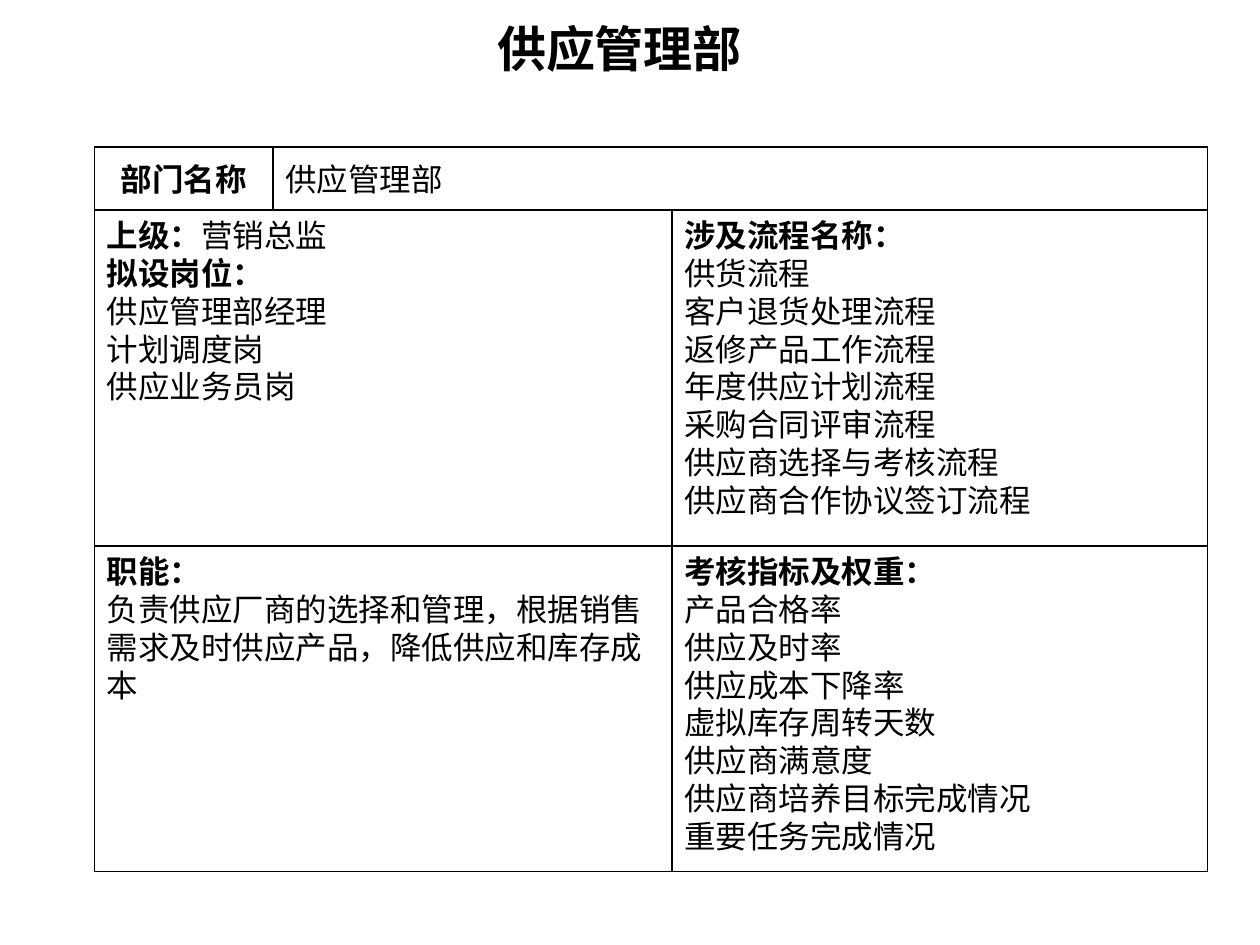
import pptx
import pptx.dml.color
import pptx.enum.shapes
import pptx.enum.text
import pptx.util

ALIGN = pptx.enum.text.PP_ALIGN
ANCHOR = pptx.enum.text.MSO_ANCHOR
COLORS = {"paper": "FFFFFF", "ink": "000000"}
SERIF, SANS = "Times New Roman", "Noto Sans CJK SC"

# The slide is a grid of 120 columns by 90 rows, each 1/12 inch.
COLUMNS, ROWS = 120, 90
UNIT = pptx.util.Inches(1) // 12

TITLE_BOX = (8, 1.2, 102, 6.8)
CARD_BOX = (9, 14, 106, 69)
NAME_HEIGHT, UPPER_HEIGHT = 6, 32
LABEL_WIDTH, LEFT_WIDTH = 17, 55

# Each paragraph is a list of runs: (text, bold, font).
SUPERIOR_AND_POSTS = [
    [("上级：", True, SERIF), ("营销总监", False, SERIF)],
    [("拟设岗位：", True, SERIF)],
    *[[(post, False, SERIF)] for post in ("供应管理部经理", "计划调度岗", "供应业务员岗")],
]


def headed_list(heading, items, font=SERIF):
    return [[(heading, True, SERIF)], *[[(item, False, font)] for item in items]]


PROCESSES = headed_list("涉及流程名称：", [
    "供货流程", "客户退货处理流程", "返修产品工作流程", "年度供应计划流程",
    "采购合同评审流程", "供应商选择与考核流程", "供应商合作协议签订流程",
])
DUTIES = headed_list("职能：", [
    "负责供应厂商的选择和管理，根据销售需求及时供应产品，降低供应和库存成本",
])
INDICATORS = headed_list("考核指标及权重：", [
    "产品合格率", "供应及时率", "供应成本下降率", "虚拟库存周转天数",
    "供应商满意度", "供应商培养目标完成情况", "重要任务完成情况",
], SANS)


def color(name):
    return pptx.dml.color.RGBColor.from_string(COLORS[name])


def to_lengths(box):
    return [pptx.util.Emu(round(value * UNIT)) for value in box]


def write_text(frame, paragraphs, size, align, anchor, spacing=None):
    frame.word_wrap = True
    frame.vertical_anchor = anchor
    for index, runs in enumerate(paragraphs):
        paragraph = frame.paragraphs[0] if index == 0 else frame.add_paragraph()
        paragraph.alignment = align
        paragraph.line_spacing = spacing
        for text, bold, font in runs:
            run = paragraph.add_run()
            run.text = text
            run.font.size = pptx.util.Pt(size)
            run.font.bold = bold
            run.font.name = font
            run.font.color.rgb = color("ink")
            east_asian = pptx.oxml.xmlchemy.OxmlElement("a:ea")
            east_asian.set("typeface", SANS)
            run.font._element.append(east_asian)


def add_title(slide, box):
    shape = slide.shapes.add_textbox(*to_lengths(box))
    write_text(shape.text_frame, [[("供应管理部", True, SANS)]], 28, ALIGN.CENTER, ANCHOR.MIDDLE)


def add_cell(slide, box, paragraphs=(), align=ALIGN.LEFT, anchor=ANCHOR.TOP):
    shape = slide.shapes.add_shape(
        pptx.enum.shapes.MSO_SHAPE.RECTANGLE, *to_lengths(box))
    shape.shadow.inherit = False
    shape.fill.solid()
    shape.fill.fore_color.rgb = color("paper")
    shape.line.color.rgb = color("ink")
    shape.line.width = pptx.util.Pt(0.75)
    write_text(shape.text_frame, paragraphs, 18, align, anchor, pptx.util.Pt(21.6))


def add_department_card(slide, box):
    """Name row on top, then two rows of two cells, inside an outer frame."""
    left, top, width, height = box
    middle, right_width = left + LEFT_WIDTH, width - LEFT_WIDTH
    upper = top + NAME_HEIGHT
    lower = upper + UPPER_HEIGHT
    lower_height = top + height - lower

    add_cell(slide, box)
    add_cell(slide, (left, top, LABEL_WIDTH, NAME_HEIGHT),
             [[("部门名称", True, SERIF)]], ALIGN.CENTER, ANCHOR.MIDDLE)
    add_cell(slide, (left + LABEL_WIDTH, top, width - LABEL_WIDTH, NAME_HEIGHT),
             [[("供应管理部", False, SERIF)]], anchor=ANCHOR.MIDDLE)
    for row_top, row_height, left_text, right_text in (
        (upper, UPPER_HEIGHT, SUPERIOR_AND_POSTS, PROCESSES),
        (lower, lower_height, DUTIES, INDICATORS),
    ):
        add_cell(slide, (left, row_top, LEFT_WIDTH, row_height), left_text)
        add_cell(slide, (middle, row_top, right_width, row_height), right_text)


def main():
    presentation = pptx.Presentation()
    presentation.slide_width = COLUMNS * UNIT
    presentation.slide_height = ROWS * UNIT
    slide = presentation.slides.add_slide(presentation.slide_layouts[6])
    add_title(slide, TITLE_BOX)
    add_department_card(slide, CARD_BOX)
    presentation.save("out.pptx")


if __name__ == "__main__":
    main()
